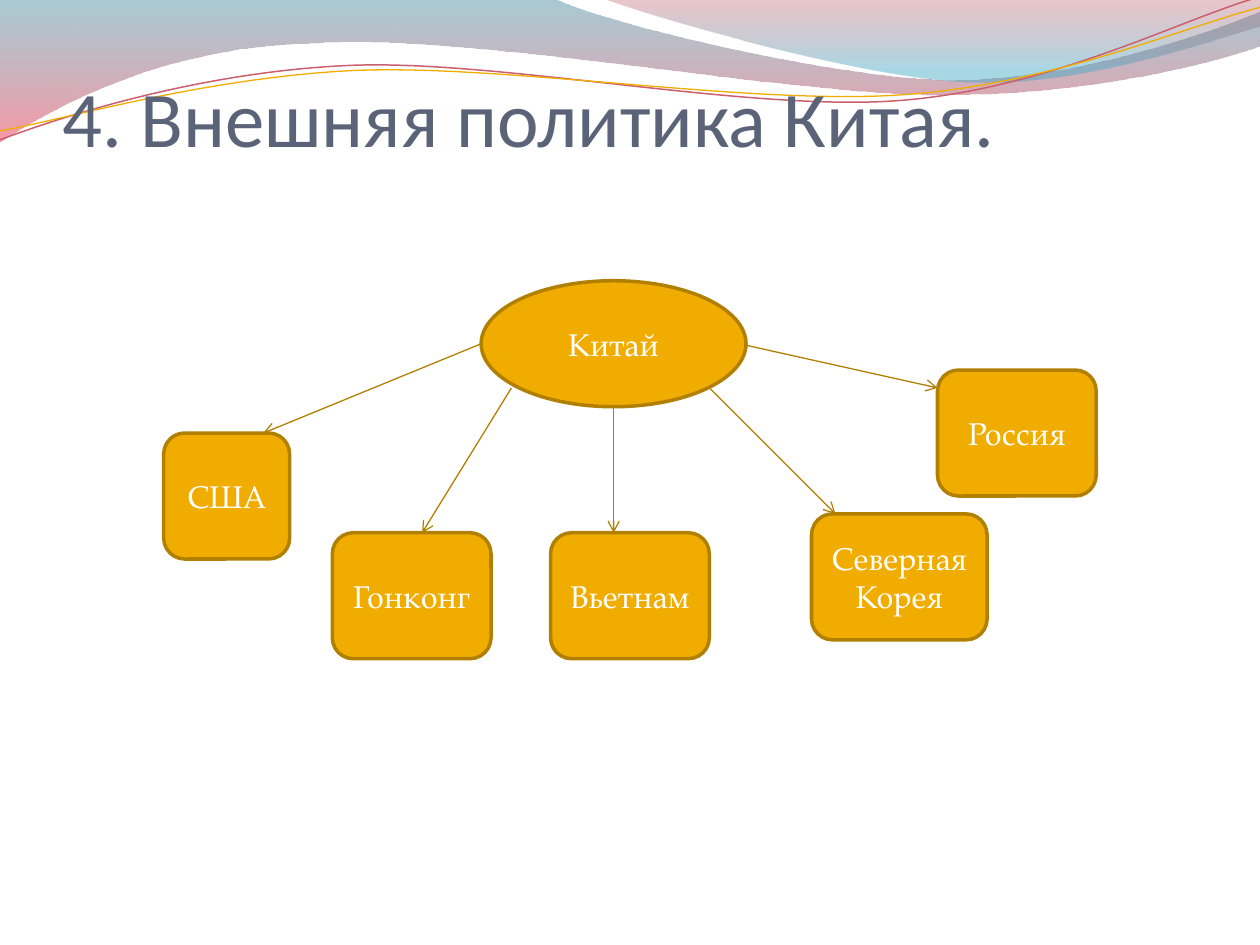
from lxml import etree
from pptx import Presentation
from pptx import util as u
from pptx.dml.color import RGBColor
from pptx.enum import shapes, text
from pptx.oxml import ns

AMBER = RGBColor(0xF0, 0xAD, 0x00)
BRONZE = RGBColor(0xB2, 0x80, 0x00)
WHITE = RGBColor(0xFF, 0xFF, 0xFF)
SLATE = RGBColor(0x5A, 0x63, 0x78)
ROSE = RGBColor(0xCB, 0x5F, 0x6E)
TEAL = RGBColor(0x3F, 0x8A, 0x9F)
RED = RGBColor(0xEF, 0x44, 0x5B)
CRIMSON = RGBColor(0xB8, 0x42, 0x53)
SKY = RGBColor(0x42, 0xAB, 0xC7)
NODE_HEIGHT = 2.54

presentation = Presentation()
presentation.slide_width, presentation.slide_height = u.Cm(25.4), u.Cm(19.05)
slide = presentation.slides.add_slide(presentation.slide_layouts[6])


def add_wave(start, segments, close):
    """Draw a freeform; a segment is one line end or three Bezier points, in cm."""
    builder = slide.shapes.build_freeform(*map(u.Cm, start))
    builder.add_line_segments(
        [(u.Cm(x), u.Cm(y)) for segment in segments for x, y in segment], close=close)
    shape = builder.convert_to_shape()
    shape.shadow.inherit = False
    # Join each three Bezier points into one curve
    line_steps = iter(list(shape._element.iter(ns.qn("a:lnTo"))))
    for segment in segments:
        first, *others = [next(line_steps) for _ in segment]
        if others:
            first.tag = ns.qn("a:cubicBezTo")
            for step in others:
                first.append(step[0])
                step.getparent().remove(step)
    return shape


def write_text(shape, words, frame_format, font_format, color, alignment):
    frame = shape.text_frame
    for name, value in frame_format.items():
        setattr(frame, name, value)
    paragraph = frame.paragraphs[0]
    paragraph.text = words
    paragraph.alignment = alignment
    for name, value in font_format.items():
        setattr(paragraph.font, name, value)
    paragraph.font.color.rgb = color


# Gradient waves along the top: start, segments, stops (position, colour, opacity %)
bands = [
    ((0, 0), [
        [(11.18, -0.03)],
        [(12.09, 0.43), (16.87, 1.6), (19.25, 1.6)],
        [(21.67, 1.6), (24.33, 0.66), (25.4, 0.23)],
        [(25.43, 0.91)],
        [(24.97, 1.12), (22.1, 1.93), (18.95, 1.91)],
        [(15.8, 1.91), (9.7, 0.71), (6.53, 0.86)],
        [(3.28, 0.91), (1.17, 2.11), (-0.03, 2.87)],
        [(0, 0)],
    ], [(0, TEAL, 45), (1, RED, 55)]),
    ((12.17, -0.03), [
        [(12.93, 0.28), (17.32, 1.57), (19.53, 1.65)],
        [(21.74, 1.75), (24.41, 0.81), (25.4, 0.53)],
        [(25.4, 0)],
        [(12.17, -0.03)],
    ], [(0, CRIMSON, 30), (0.8, SKY, 45)]),
]
for start, segments, stops in bands:
    band = add_wave(start, segments, True)
    band.line.fill.background()
    band.fill.gradient()
    band.fill.gradient_angle = 270
    for stop, (position, color, _) in zip(band.fill.gradient_stops, stops):
        stop.position = position
        stop.color.rgb = color
    color_elements = band._element.spPr.iter(ns.qn("a:srgbClr"))
    for element, (_, _, opacity) in zip(color_elements, stops):
        etree.SubElement(element, ns.qn("a:alpha"), val=str(opacity * 1000))

# Thin wavy lines
wavy_lines = [
    ((0, 2.82), [
        [(1.22, 2.36), (4.01, 1.45), (7.04, 1.32)],
        [(10.03, 1.19), (15.06, 2.26), (18.11, 2.03)],
        [(21.16, 1.8), (23.83, 0.38), (25.35, -0.05)],
    ], ROSE, 0.85),
    ((0, 2.64), [
        [(1.19, 2.44), (4.17, 1.55), (7.19, 1.42)],
        [(10.24, 1.3), (15.16, 2.13), (18.21, 1.91)],
        [(21.23, 1.7), (23.9, 0.53), (25.4, 0.15)],
    ], AMBER, 0.75),
]
for start, segments, color, width in wavy_lines:
    wave = add_wave(start, segments, False)
    wave.fill.background()
    wave.line.color.rgb = color
    wave.line.width = u.Pt(width)

# Title
title = slide.shapes.add_textbox(u.Cm(1.27), u.Cm(1.96), u.Cm(22.86), u.Cm(3.18))
title_frame = {"word_wrap": True, "vertical_anchor": text.MSO_ANCHOR.BOTTOM,
               "margin_left": 0, "margin_right": 0,
               "margin_top": u.Cm(0.13), "margin_bottom": u.Cm(1.9)}
write_text(title, "4. Внешняя политика Китая.", title_frame,
           {"size": u.Pt(45), "name": "Calibri"}, SLATE, text.PP_ALIGN.LEFT)

# Arrows from China to its partners
arrows = [
    (9.7, 6.93, 5.31, 8.73),
    (10.31, 7.82, 8.51, 10.74),
    (12.37, 8.2, 12.37, 10.74),
    (14.3, 7.82, 16.84, 10.36),
    (15.04, 6.96, 18.9, 7.82),
]
for ends in arrows:
    arrow = slide.shapes.add_connector(shapes.MSO_CONNECTOR.STRAIGHT, *map(u.Cm, ends))
    arrow.line.color.rgb = BRONZE
    arrow.line.width = u.Pt(0.75)
    etree.SubElement(arrow.line._get_or_add_ln(), ns.qn("a:tailEnd"), type="arrow")
    etree.SubElement(arrow._element.spPr, ns.qn("a:effectLst"))

# Country nodes: words, preset, left, top, width
OVAL = shapes.MSO_SHAPE.OVAL
ROUNDED = shapes.MSO_SHAPE.ROUNDED_RECTANGLE
nodes = [
    ("Китай", OVAL, 9.7, 5.66, 5.34),
    ("США", ROUNDED, 3.3, 8.73, 2.54),
    ("Гонконг", ROUNDED, 6.7, 10.74, 3.2),
    ("Вьетнам", ROUNDED, 11.1, 10.74, 3.2),
    ("Северная Корея", ROUNDED, 16.36, 10.36, 3.54),
    ("Россия", ROUNDED, 18.9, 7.46, 3.2),
]
node_frame = {"word_wrap": True, "vertical_anchor": text.MSO_ANCHOR.MIDDLE}
node_font = {"size": u.Pt(18), "name": "TeX Gyre Pagella"}
for words, preset, left, top, width in nodes:
    node = slide.shapes.add_shape(preset, *map(u.Cm, (left, top, width, NODE_HEIGHT)))
    node.shadow.inherit = False
    node.fill.solid()
    node.fill.fore_color.rgb = AMBER
    node.line.color.rgb = BRONZE
    node.line.width = u.Pt(2)
    write_text(node, words, node_frame, node_font, WHITE, text.PP_ALIGN.CENTER)

presentation.save("out.pptx")
